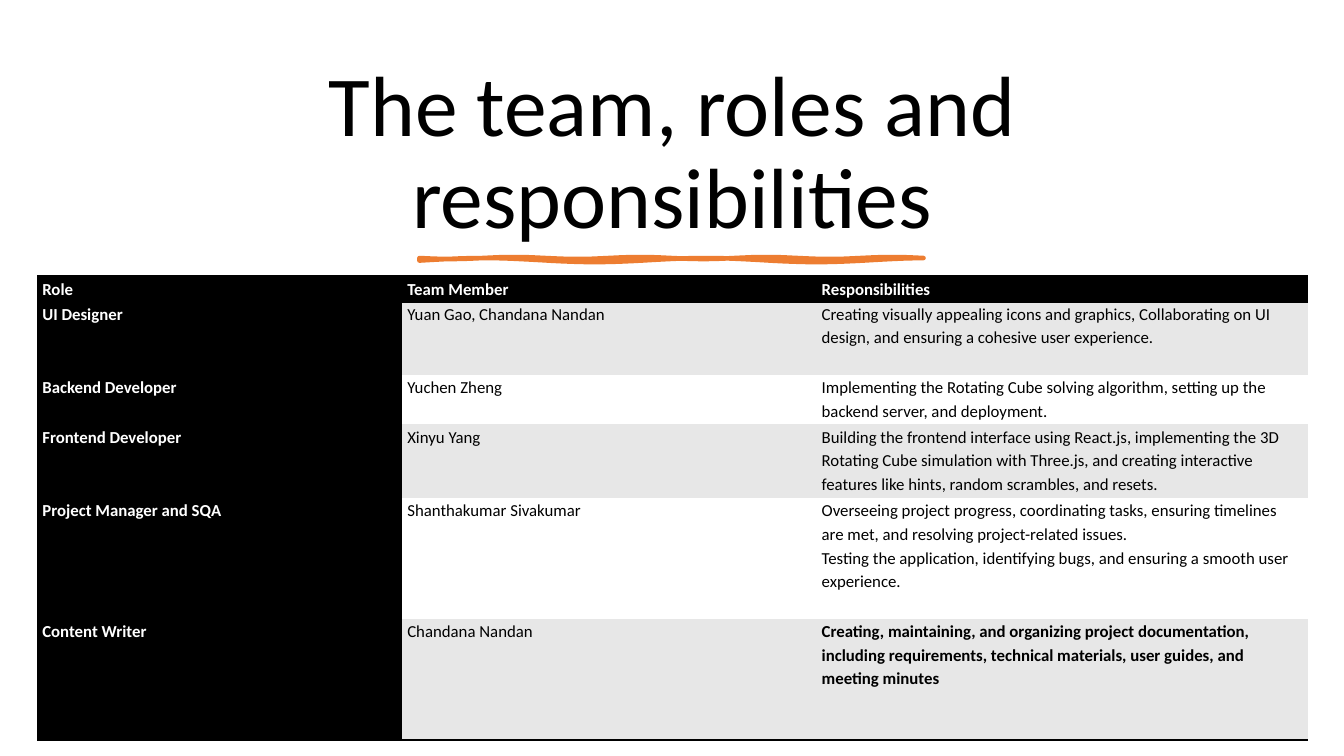
import math

import pptx
import pptx.dml.color
import pptx.enum.text
import pptx.oxml
import pptx.oxml.ns
import pptx.util
from pptx.util import Inches, Pt

BLACK = pptx.dml.color.RGBColor(0x00, 0x00, 0x00)
WHITE = pptx.dml.color.RGBColor(0xFF, 0xFF, 0xFF)
BAND = pptx.dml.color.RGBColor(0xE7, 0xE7, 0xE7)
ORANGE = pptx.dml.color.RGBColor(0xED, 0x7D, 0x31)
ALIGN = pptx.enum.text.PP_ALIGN
PLAIN_STYLE = "{2D5ABB26-0587-4C30-8999-92F81FD0307C}"

COLUMN_WIDTHS = [3.62, 4.11, 4.87]
ROW_HEIGHTS = [0.25, 0.73, 0.49, 0.73, 1.2, 1.2]
TEAM = [
    ("Role", "Team Member", "Responsibilities"),
    ("UI Designer", "Yuan Gao, Chandana Nandan",
     "Creating visually appealing icons and graphics, Collaborating on UI design, "
     "and ensuring a cohesive user experience."),
    ("Backend Developer", "Yuchen Zheng",
     "Implementing the Rotating Cube solving algorithm, setting up the backend server, "
     "and deployment."),
    ("Frontend Developer", "Xinyu Yang",
     "Building the frontend interface using React.js, implementing the 3D Rotating Cube "
     "simulation with Three.js, and creating interactive features like hints, random "
     "scrambles, and resets."),
    ("Project Manager and SQA", "Shanthakumar Sivakumar",
     "Overseeing project progress, coordinating tasks, ensuring timelines are met, "
     "and resolving project-related issues.\n"
     "Testing the application, identifying bugs, and ensuring a smooth user experience."),
    ("Content Writer", "Chandana Nandan",
     "Creating, maintaining, and organizing project documentation, including "
     "requirements, technical materials, user guides, and meeting minutes"),
]


def add_rule(cell, side):
    cell._tc.get_or_add_tcPr().append(pptx.oxml.parse_xml(
        f'<a:{side} {pptx.oxml.ns.nsdecls("a")} w="{Pt(2)}"><a:solidFill>'
        f'<a:srgbClr val="{BLACK}"/></a:solidFill></a:{side}>'))


deck = pptx.Presentation()
deck.slide_width, deck.slide_height = Inches(13.33), Inches(7.5)
slide = deck.slides.add_slide(deck.slide_layouts[6])

# Title
title = slide.shapes.add_textbox(Inches(0.7), Inches(0.5), Inches(11.93), Inches(2)).text_frame
title.word_wrap = True
title.vertical_anchor = pptx.enum.text.MSO_ANCHOR.BOTTOM
heading = title.paragraphs[0]
heading.text = "The team, roles and responsibilities"
heading.alignment = ALIGN.CENTER
heading.line_spacing = 0.9
heading.font.name, heading.font.size = "Calibri", Pt(61)
heading.font.color.rgb = BLACK

# Hand-drawn underline: two waves, the lower one swelling every 2.2 inches
stations = [4.16 + 0.1 * step for step in range(51)]
upper = [(x, 2.56 + 0.01 * math.sin(2 * math.pi * (x - 4.16) / 1.25)) for x in stations]
lower = [(x, 2.58 + 0.02 * math.cos(2 * math.pi * (x - 5.9) / 2.2)) for x in stations]
outline = [(Inches(x), Inches(y)) for x, y in upper + lower[::-1]]
brush = slide.shapes.build_freeform(*outline[0])
brush.add_line_segments(outline[1:], close=True)
underline = brush.convert_to_shape()
underline.shadow.inherit = False
underline.fill.solid()
underline.fill.fore_color.rgb = ORANGE
underline.line.color.rgb = ORANGE
underline.line.width = Pt(3.25)

# Team table
frame = slide.shapes.add_table(
    len(TEAM), len(COLUMN_WIDTHS), Inches(0.37), Inches(2.74),
    Inches(sum(COLUMN_WIDTHS)), Inches(sum(ROW_HEIGHTS)))
roster = frame.table
roster._tbl.tblPr.find(pptx.oxml.ns.qn("a:tableStyleId")).text = PLAIN_STYLE
for column, width in zip(roster.columns, COLUMN_WIDTHS):
    column.width = Inches(width)

last_row = len(TEAM) - 1
for r, entries in enumerate(TEAM):
    roster.rows[r].height = Inches(ROW_HEIGHTS[r])
    for c, entry in enumerate(entries):
        cell = roster.cell(r, c)
        is_header = r == 0 or c == 0
        cell.margin_left = cell.margin_right = Inches(0.05)
        cell.margin_top = cell.margin_bottom = 0
        if r == 0:
            add_rule(cell, "lnT")
        if r in (0, last_row):
            add_rule(cell, "lnB")
        cell.fill.solid()
        cell.fill.fore_color.rgb = BLACK if is_header else BAND if r % 2 else WHITE
        cell.text = entry
        for paragraph in cell.text_frame.paragraphs:
            paragraph.alignment = ALIGN.LEFT if c == 2 else ALIGN.JUSTIFY
            paragraph.line_spacing = 1.15
            paragraph.font.name, paragraph.font.size = "Calibri", Pt(12)
            paragraph.font.bold = is_header or (r == last_row and c == 2)
            paragraph.font.color.rgb = WHITE if is_header else BLACK

deck.save("out.pptx")
